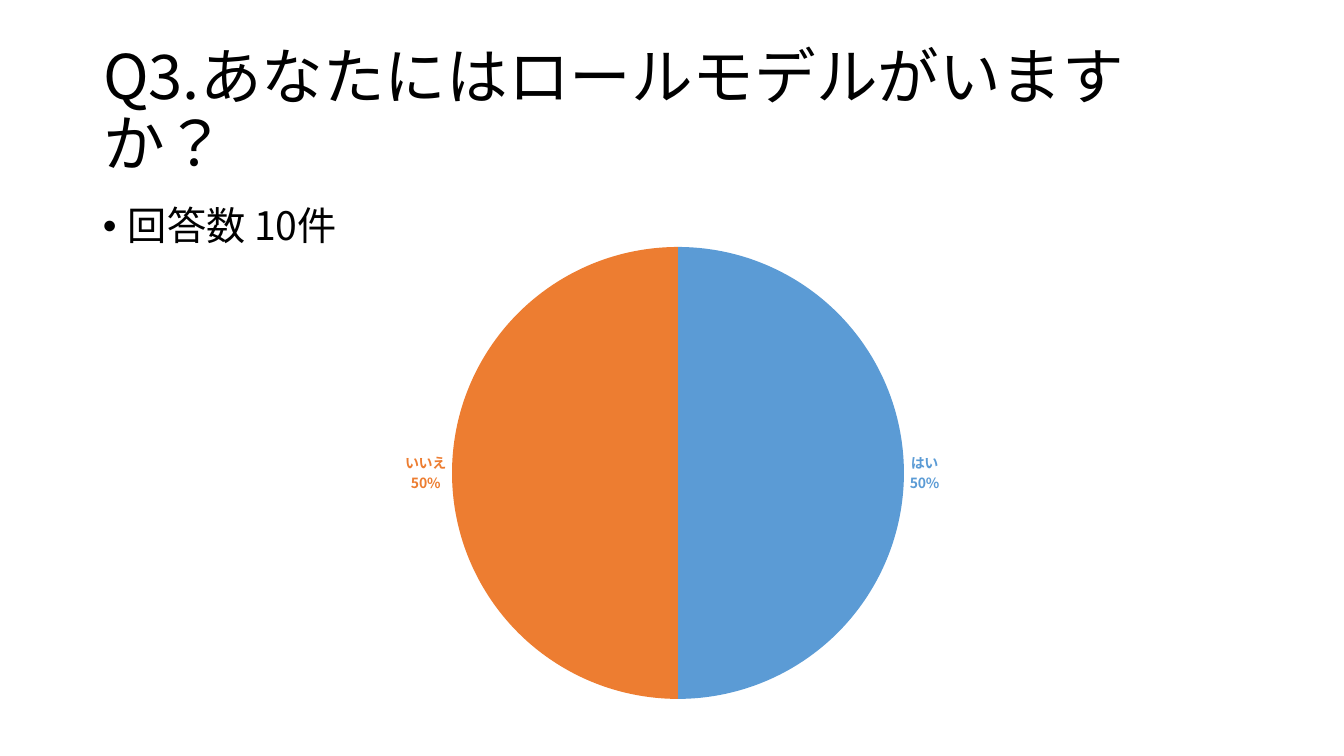
from lxml import etree
from pptx import Presentation
from pptx.chart.data import CategoryChartData
from pptx.dml.color import RGBColor
from pptx.enum.chart import XL_CHART_TYPE, XL_LABEL_POSITION
from pptx.enum.lang import MSO_LANGUAGE_ID
from pptx.enum.text import MSO_ANCHOR, PP_ALIGN
from pptx.oxml import parse_xml
from pptx.oxml.ns import nsdecls, qn
from pptx.util import Emu, Pt

PIE = XL_CHART_TYPE.PIE
OUTSIDE = XL_LABEL_POSITION.OUTSIDE_END
MIDDLE, TOP = MSO_ANCHOR.MIDDLE, MSO_ANCHOR.TOP
LEFT = PP_ALIGN.LEFT
JAPANESE = MSO_LANGUAGE_ID.JAPANESE

PX = 914400 / 100.8
FONT = "Noto Sans CJK JP"
COLORS = {"text": "000000", "はい": "5B9BD5", "いいえ": "ED7D31"}
ANSWERS = {"はい": 50, "いいえ": 50}


def px(n):
    """Turn pixels into EMU."""
    return Emu(round(n * PX))


def style_font(font, size, color, bold=False):
    """Set typeface, size, weight and colour of a font."""
    font.name, font.size, font.bold = FONT, Pt(size), bold
    font.color.rgb = RGBColor.from_string(COLORS[color])


def put_text(sp, text, size, anchor=TOP, before=0, bullet=None, indent=0):
    """Write one formatted paragraph into a shape."""
    tf = sp.text_frame
    tf.word_wrap = True
    tf.vertical_anchor = anchor
    p = tf.paragraphs[0]
    p.alignment, p.line_spacing, p.space_before = LEFT, 0.9, Pt(before)
    r = p.add_run()
    r.text = text
    style_font(r.font, size, "text")
    r.font.language_id = JAPANESE
    r.font._element.find(qn("a:latin")).addnext(
        parse_xml(f'<a:ea {nsdecls("a")} typeface="{FONT}"/>'))
    if bullet:
        pPr = p._p.get_or_add_pPr()
        pPr.set("marL", str(px(indent)))
        pPr.set("indent", str(-px(indent)))
        etree.SubElement(pPr, qn("a:buFont")).set("typeface", "Arial")
        etree.SubElement(pPr, qn("a:buChar")).set("char", bullet)


def add_title(slide, x, y, w, h):
    """Place the question in the title placeholder, wrapped before its last word."""
    sp = slide.shapes.title
    sp.left, sp.top, sp.width, sp.height = map(px, (x, y, w, h))
    put_text(sp, "Q3.あなたにはロールモデルがいますか？", 44, anchor=MIDDLE)
    sp.text_frame.margin_right = px(70)


def add_body(slide, x, y, w, h):
    """Place the bullet with the number of replies."""
    sp = slide.shapes.add_textbox(*map(px, (x, y, w, h)))
    put_text(sp, "回答数 10件", 28, before=10, bullet="•", indent=25)


def label_slice(point, answer):
    """Colour one slice and its label."""
    point.format.fill.solid()
    point.format.fill.fore_color.rgb = RGBColor.from_string(COLORS[answer])
    label = point.data_label
    style_font(label.font, 10, answer, bold=True)
    label.position = OUTSIDE


def add_pie(slide, x, y, w, h):
    """Draw the pie of answers, labelled with category and percentage."""
    data = CategoryChartData()
    data.categories = list(ANSWERS)
    data.add_series("Series 1", list(ANSWERS.values()))
    chart = slide.shapes.add_chart(PIE, *map(px, (x, y, w, h)), data).chart
    chart.has_legend = chart.has_title = False
    style_font(chart.font, 10, "text")
    plot = chart.plots[0]
    plot.vary_by_categories = True
    series = plot.series[0]
    for i, answer in enumerate(ANSWERS):
        label_slice(series.points[i], answer)
    shown = {"showVal": 0, "showCatName": 1, "showPercent": 1}
    for dLbl in series._element.iter(qn("c:dLbl")):
        for tag, value in shown.items():
            dLbl.find(qn(f"c:{tag}")).set("val", str(value))
        etree.SubElement(dLbl, qn("c:separator")).text = "\n"
    set_plot_box(chart, 135 / w, 14 / h, 452 / w, 452 / h)


def set_plot_box(chart, *box):
    """Fix the plot area as fractions of the chart."""
    area = chart._chartSpace.chart.plotArea
    for old in area.findall(qn("c:layout")):
        area.remove(old)
    values = "".join(f'<c:{tag} val="{v:.4f}"/>' for tag, v in zip("xywh", box))
    area.insert(0, parse_xml(
        f'<c:layout {nsdecls("c")}><c:manualLayout><c:layoutTarget val="inner"/>'
        f'<c:xMode val="edge"/><c:yMode val="edge"/>{values}'
        '</c:manualLayout></c:layout>'))


def main():
    """Build and save the slide."""
    prs = Presentation()
    prs.slide_width, prs.slide_height = px(1344), px(756)
    slide = prs.slides.add_slide(prs.slide_layouts[5])
    add_title(slide, 93, 40, 1159, 146)
    add_body(slide, 93, 202, 1159, 480)
    add_pie(slide, 317, 233, 711, 480)
    prs.save("out.pptx")


main()
